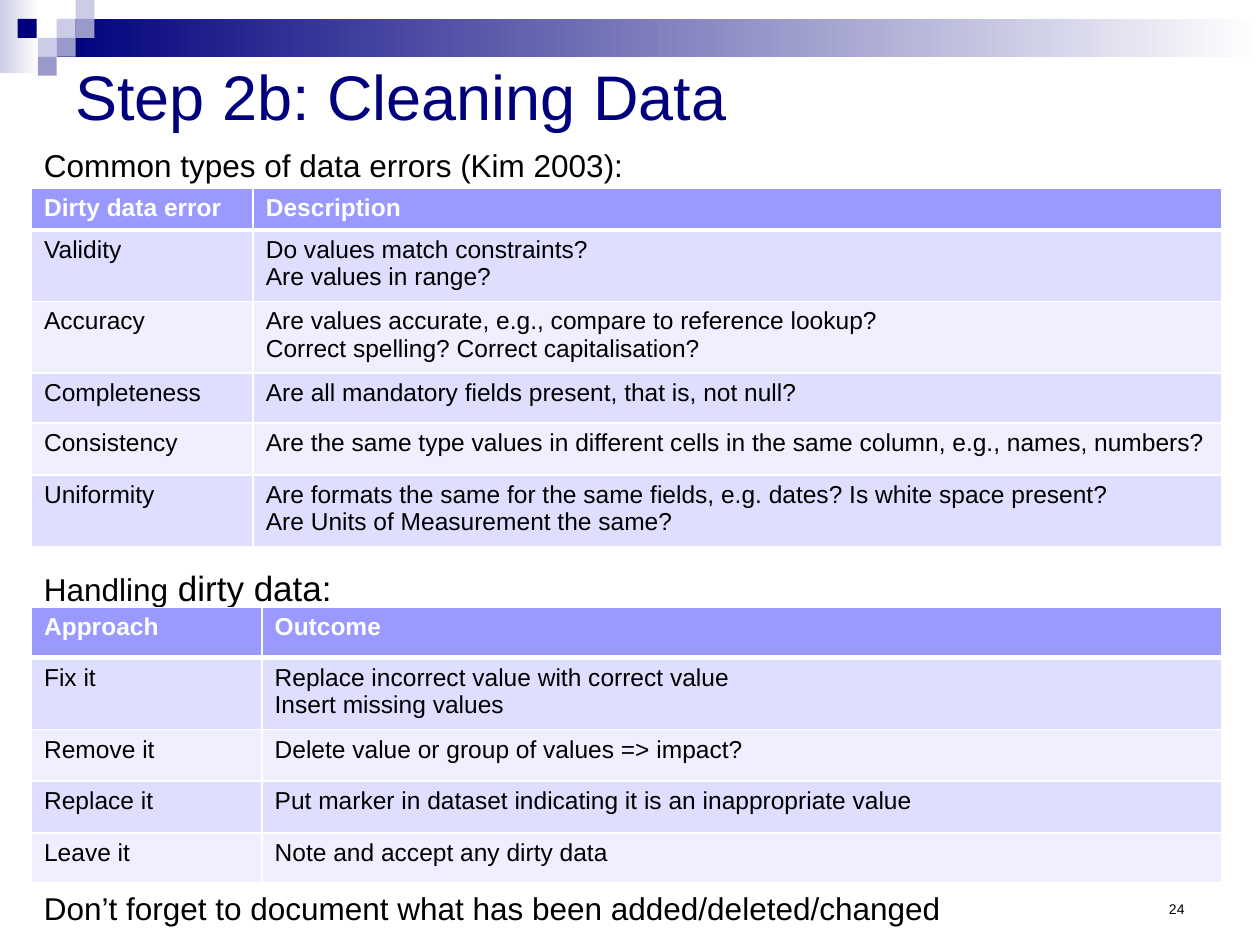
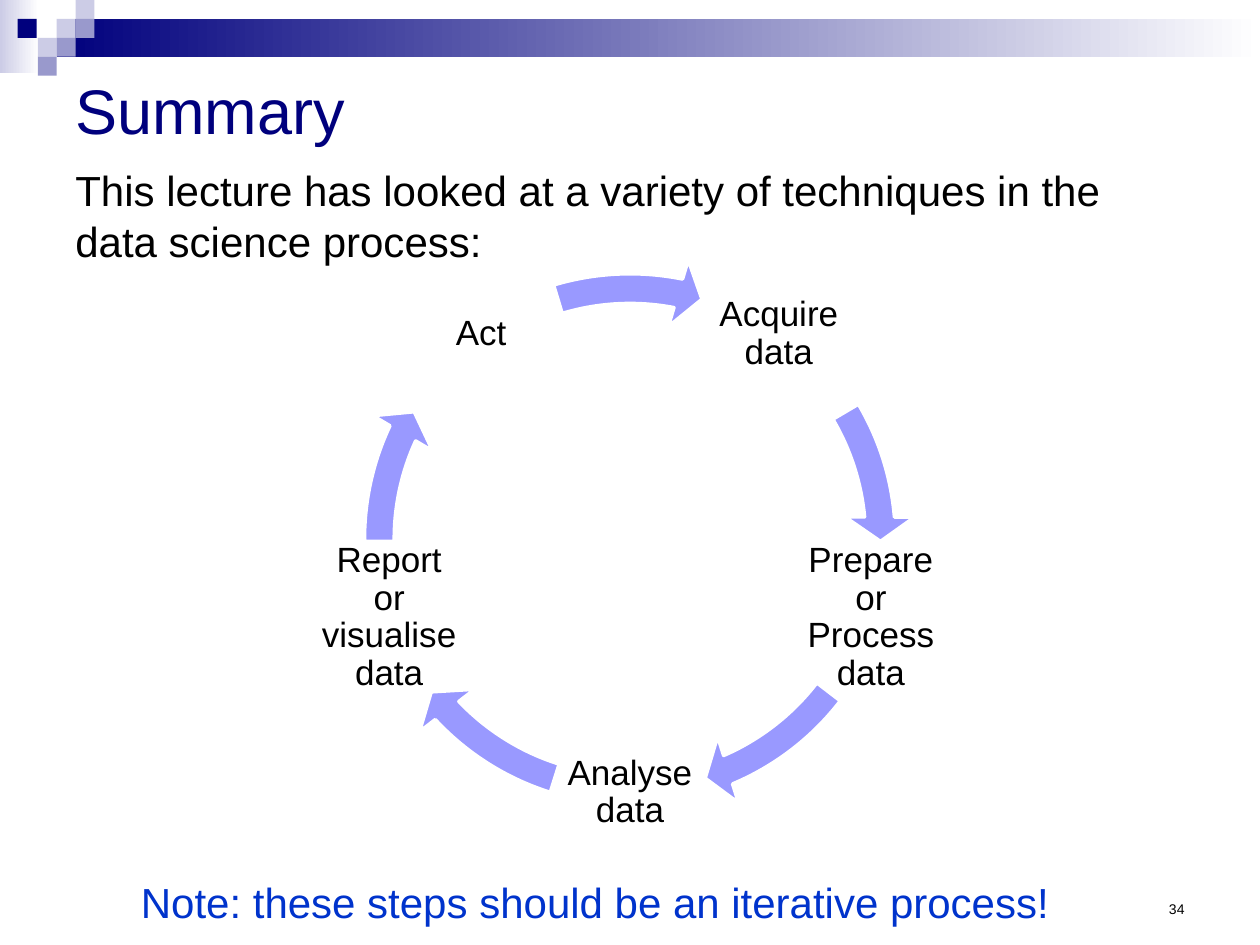
import math

import pptx
import pptx.util
from pptx.dml.color import RGBColor
from pptx.enum.shapes import MSO_SHAPE
from pptx.enum.text import MSO_ANCHOR, PP_ALIGN
from pptx.oxml import parse_xml
from pptx.oxml.ns import nsdecls
from pptx.util import Inches

# Shared style
FONT = "Arial"
NAVY = RGBColor(0x00, 0x00, 0x7D)
LAVENDER = RGBColor(0xCC, 0xCC, 0xE6)
SLATE = RGBColor(0x99, 0x99, 0xCC)
PERIWINKLE = RGBColor(0x99, 0x99, 0xFF)
ROW_DARK = RGBColor(0xDE, 0xDE, 0xFF)
ROW_LIGHT = RGBColor(0xEF, 0xEF, 0xFF)
BLUE = RGBColor(0x00, 0x33, 0xCC)
BLACK = RGBColor(0, 0, 0)
WHITE = RGBColor(0xFF, 0xFF, 0xFF)

# Corner squares: left, top, colour
SQUARE = 0.15
SQUARES = [
    (0.45, 0.15, LAVENDER), (0.6, 0, LAVENDER), (0.6, 0.15, SLATE),
    (0.3, 0.3, LAVENDER), (0.14, 0.15, NAVY), (0.45, 0.3, SLATE),
    (0.3, 0.45, SLATE),
]

# Slide 1 tables
ERROR_ROWS = [
    ("Dirty data error", "Description"),
    ("Validity", "Do values match constraints?\nAre values in range?"),
    ("Accuracy", "Are values accurate, e.g., compare to reference lookup?\n"
                 "Correct spelling? Correct capitalisation?"),
    ("Completeness", "Are all mandatory fields present, that is, not null?"),
    ("Consistency", "Are the same type values in different cells in the same "
                    "column, e.g., names, numbers?"),
    ("Uniformity", "Are formats the same for the same fields, e.g. dates? "
                   "Is white space present?\n"
                   "Are Units of Measurement the same?"),
]
HANDLING_ROWS = [
    ("Approach", "Outcome"),
    ("Fix it", "Replace incorrect value with correct value\n"
               "Insert missing values"),
    ("Remove it", "Delete value or group of values => impact?"),
    ("Replace it", "Put marker in dataset indicating it is an "
                   "inappropriate value"),
    ("Leave it", "Note and accept any dirty data"),
]

# Slide 2 cycle: step, then end and start adjustments of the arrow after it
CYCLE = [
    ("Acquire data", 212.95, 197.65),
    ("Prepare or Process data", 40.16, 22.52),
    ("Analyse data", 82.12, 64.48),
    ("Report or visualise data", 122.99, 107.7),
    ("Act", 168.67, 151.97),
]
CYCLE_X, CYCLE_Y, CYCLE_RADIUS = 5, 4.28, 2.01
STEP_SIZE, RING_SIZE = 1.21, 4.53


def add_run(p, text, size=18, color=BLACK, bold=False):
    r = p.add_run()
    r.text = text
    r.font.name = FONT
    r.font.size = pptx.util.Pt(size)
    r.font.color.rgb = color
    r.font.bold = bold


def add_text(s, text, left, top, width, height, align=PP_ALIGN.LEFT,
             anchor=MSO_ANCHOR.TOP, wrap=True, inset=None, spacing=None,
             **font):
    box = s.shapes.add_textbox(Inches(left), Inches(top),
                               Inches(width), Inches(height))
    tf = box.text_frame
    tf.word_wrap = wrap
    tf.vertical_anchor = anchor
    if inset is not None:
        tf.margin_left = tf.margin_right = Inches(inset)
        tf.margin_top = tf.margin_bottom = Inches(inset)
    p = tf.paragraphs[0]
    p.alignment = align
    if spacing:
        p.line_spacing = spacing
    add_run(p, text, **font)
    return p


def add_shape(s, kind, left, top, width, height, color, fade=False):
    sp = s.shapes.add_shape(kind, Inches(left), Inches(top),
                            Inches(width), Inches(height))
    sp.shadow.inherit = False
    sp.line.fill.background()
    if fade:
        sp.fill.gradient()
        sp.fill.gradient_angle = 0
        for stop, stop_color in zip(sp.fill.gradient_stops, (color, WHITE)):
            stop.color.rgb = stop_color
    else:
        sp.fill.solid()
        sp.fill.fore_color.rgb = color
    return sp


def add_borders(cell, top, bottom):
    for side, width in (("L", 1), ("R", 1), ("T", top), ("B", bottom)):
        cell._tc.get_or_add_tcPr().append(parse_xml(
            f'<a:ln{side} {nsdecls("a")} w="{pptx.util.Pt(width)}">'
            f'<a:solidFill><a:srgbClr val="{WHITE}"/></a:solidFill>'
            f'</a:ln{side}>'))


def add_table(s, rows, top, widths, heights):
    frame = s.shapes.add_table(len(rows), len(widths), Inches(0.25),
                               Inches(top), Inches(sum(widths)),
                               Inches(sum(heights)))
    table = frame.table
    for column, width in zip(table.columns, widths):
        column.width = Inches(width)
    for i, texts in enumerate(rows):
        table.rows[i].height = Inches(heights[i])
        header = i == 0
        fill = PERIWINKLE if header else ROW_DARK if i % 2 else ROW_LIGHT
        for j, text in enumerate(texts):
            cell = table.cell(i, j)
            add_borders(cell, 3 if i == 1 else 1, 3 if header else 1)
            cell.fill.solid()
            cell.fill.fore_color.rgb = fill
            tf = cell.text_frame
            for k, line in enumerate(text.split("\n")):
                p = tf.add_paragraph() if k else tf.paragraphs[0]
                add_run(p, line, size=14, bold=header,
                        color=WHITE if header else BLACK)


def add_slide(prs, title, number, title_top, title_height):
    s = prs.slides.add_slide(prs.slide_layouts[6])
    # Header band and corner squares
    add_shape(s, MSO_SHAPE.RECTANGLE, 0, 0, 0.31, 0.58, LAVENDER, fade=True)
    add_shape(s, MSO_SHAPE.RECTANGLE, 0.45, 0.15, 9.55, 0.3, NAVY, fade=True)
    for left, top, color in SQUARES:
        add_shape(s, MSO_SHAPE.RECTANGLE, left, top, SQUARE, SQUARE, color)
    # Title and slide number
    add_text(s, title, 0.5, title_top, 9, title_height,
             anchor=MSO_ANCHOR.MIDDLE, size=36, color=NAVY)
    add_text(s, str(number), 7.17, 6.98, 2.33, 0.35, align=PP_ALIGN.RIGHT,
             anchor=MSO_ANCHOR.BOTTOM, size=8)
    return s


def add_cycle(s):
    for i, (step, end, start) in enumerate(CYCLE):
        angle = math.radians(-54 + i * 360 / len(CYCLE))
        x = CYCLE_X + CYCLE_RADIUS * math.cos(angle)
        y = CYCLE_Y + CYCLE_RADIUS * math.sin(angle)
        add_text(s, step, x - STEP_SIZE / 2, y - STEP_SIZE / 2,
                 STEP_SIZE, STEP_SIZE, align=PP_ALIGN.CENTER,
                 anchor=MSO_ANCHOR.MIDDLE, inset=0.03, spacing=0.9, size=20)
        arrow = add_shape(s, MSO_SHAPE.CIRCULAR_ARROW,
                          CYCLE_X - RING_SIZE / 2, CYCLE_Y - RING_SIZE / 2,
                          RING_SIZE, RING_SIZE, PERIWINKLE)
        arrow.line.color.rgb = WHITE
        arrow.line.width = pptx.util.Pt(2)
        for k, value in enumerate((0.052, 3.356, end, start, 0.061)):
            arrow.adjustments[k] = value


def build_cleaning(prs):
    s = add_slide(prs, "Step 2b: Cleaning Data", 24, 0.4, 0.71)
    add_text(s, "Common types of data errors (Kim 2003):",
             0.25, 1.11, 9.45, 0.61)
    add_table(s, ERROR_ROWS, 1.49, (1.76, 7.69),
              (0.33, 0.54, 0.54, 0.4, 0.41, 0.54))
    p = add_text(s, "Handling", 0.25, 4.45, 2.5, 0.44, wrap=False)
    add_run(p, " dirty data:", size=20)
    add_text(s, "Don’t forget to document what has been added/deleted/changed",
             0.25, 7.01, 9.25, 0.4)
    add_table(s, HANDLING_ROWS, 4.82, (1.83, 7.62),
              (0.4, 0.57, 0.41, 0.41, 0.4))


def build_summary(prs):
    s = add_slide(prs, "Summary", 34, 0.38, 0.97)
    add_cycle(s)
    add_text(s, "Note: these steps should be an iterative process!",
             1.02, 6.91, 7.96, 0.5, size=24, color=BLUE)
    add_text(s, "This lecture has looked at a variety of techniques in the "
                "data science process:", 0.5, 1.26, 8.97, 0.91, size=24)


def main():
    prs = pptx.Presentation()
    prs.slide_width, prs.slide_height = Inches(10), Inches(7.5)
    build_cleaning(prs)
    build_summary(prs)
    prs.save("out.pptx")


if __name__ == "__main__":
    main()
